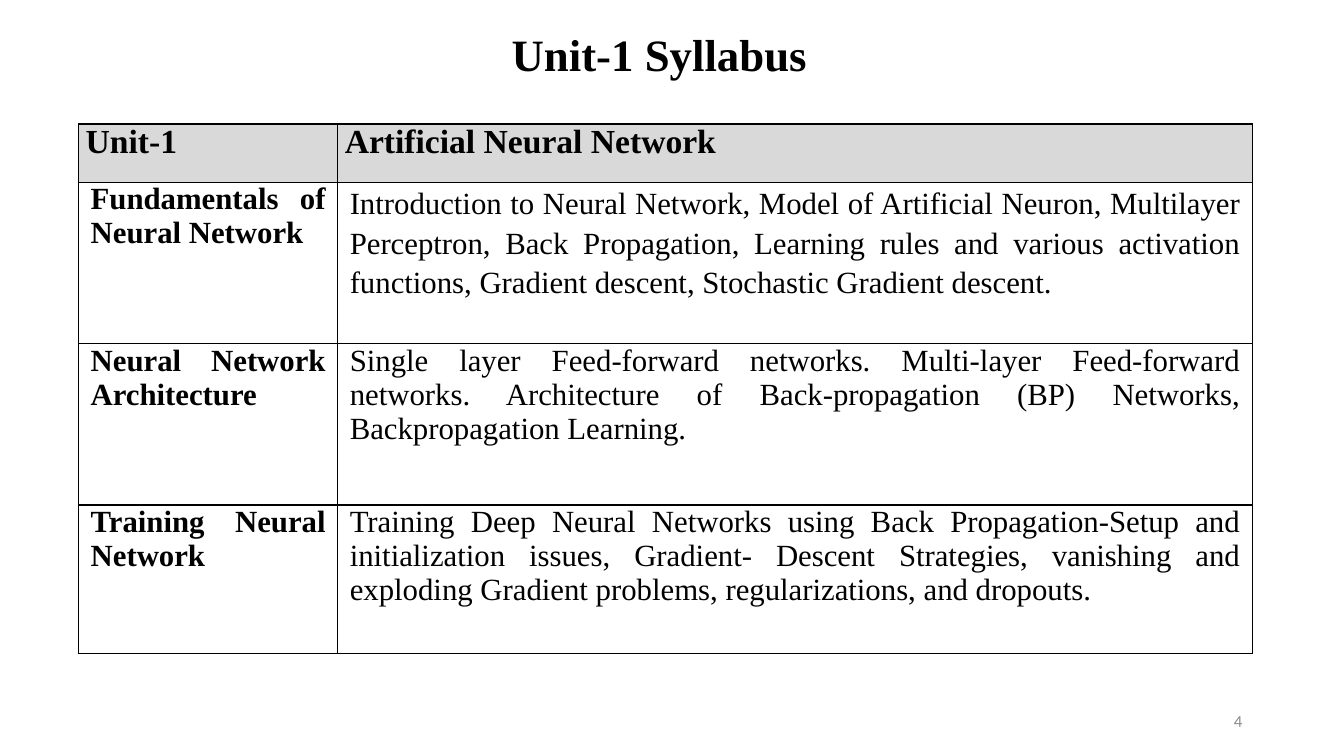
"""Build the Unit-1 syllabus slide: a title, a two-column table and a page number."""
from dataclasses import dataclass

from lxml import etree
from pptx import Presentation, util as u
from pptx.dml.color import RGBColor
from pptx.enum import text
from pptx.oxml.ns import qn

Align = text.PP_ALIGN


@dataclass(frozen=True)
class Theme:
    serif: str = "Times New Roman"
    sans: str = "Calibri"
    ink: str = "000000"
    muted: str = "8C8C8C"
    header: str = "D9D9D9"
    title_size: int = 32
    header_size: int = 24
    body_size: int = 22
    number_size: int = 12
    border: float = 1


class Deck:
    def __init__(self, prs, theme):
        self.theme = theme
        self.s = prs.slides.add_slide(prs.slide_layouts[6])

    def style(self, p, size, align, bold=False, font=None, color=None):
        p.alignment = align
        p.font.size = u.Pt(size)
        p.font.bold = bold
        p.font.name = font or self.theme.serif
        p.font.color.rgb = RGBColor.from_string(color or self.theme.ink)

    def label(self, box, words, size, align, **look):
        tf = self.s.shapes.add_textbox(*map(u.Inches, box)).text_frame
        tf.word_wrap = True
        tf.vertical_anchor = text.MSO_ANCHOR.MIDDLE
        p = tf.paragraphs[0]
        p.text = words
        self.style(p, size, align, **look)
        return p

    def outline(self, cell):
        tc_pr = cell._tc.get_or_add_tcPr()
        for i, side in enumerate(("lnL", "lnR", "lnT", "lnB")):
            ln = etree.Element(qn(f"a:{side}"), w=str(u.Pt(self.theme.border)))
            fill = etree.SubElement(ln, qn("a:solidFill"))
            etree.SubElement(fill, qn("a:srgbClr"), val=self.theme.ink)
            tc_pr.insert(i, ln)

    def cell(self, cell, words, header, bold):
        t = self.theme
        cell.margin_left = cell.margin_right = u.Inches(0.07 if header else 0.12)
        cell.margin_top = cell.margin_bottom = 0
        if header:
            cell.fill.solid()
            cell.fill.fore_color.rgb = RGBColor.from_string(t.header)
        else:
            cell.fill.background()
        self.outline(cell)
        p = cell.text_frame.paragraphs[0]
        p.text = words
        self.style(p, t.header_size if header else t.body_size, Align.JUSTIFY, bold)
        return p

    def table(self, box, widths, heights, rows):
        grid = self.s.shapes.add_table(len(rows), len(widths), *map(u.Inches, box)).table
        for col, width in zip(grid.columns, widths):
            col.width = u.Inches(width)
        for row, height in zip(grid.rows, heights):
            row.height = u.Inches(height)
        return [[self.cell(grid.cell(r, c), words, header=r == 0, bold=r == 0 or c == 0)
                 for c, words in enumerate(row)] for r, row in enumerate(rows)]


SYLLABUS = [
    ("Unit-1", "Artificial Neural Network"),
    ("Fundamentals of Neural Network",
     "Introduction to Neural Network, Model of Artificial Neuron, Multilayer Perceptron, "
     "Back Propagation, Learning rules and various activation functions, Gradient descent, "
     "Stochastic Gradient descent."),
    ("Neural Network Architecture",
     "Single layer Feed-forward networks. Multi-layer Feed-forward networks. Architecture of "
     "Back-propagation (BP) Networks, Backpropagation Learning."),
    ("Training Neural Network",
     "Training Deep Neural Networks using Back Propagation-Setup and initialization issues, "
     "Gradient- Descent Strategies, vanishing and exploding Gradient problems, "
     "regularizations, and dropouts."),
]

prs = Presentation()
prs.slide_width, prs.slide_height = u.Inches(13.33), u.Inches(7.5)
theme = Theme()
deck = Deck(prs, theme)

title = deck.label((0.79, 0.1, 11.5, 0.94), "Unit-1 Syllabus", theme.title_size,
                   Align.CENTER, bold=True)
title.line_spacing = 0.9
deck.label((9.42, 6.95, 3, 0.4), "4", theme.number_size, Align.RIGHT,
           font=theme.sans, color=theme.muted)

cells = deck.table((0.78, 1.23, 11.64, 5.25), (2.57, 9.07), (0.58, 1.6, 1.6, 1.47), SYLLABUS)
introduction = cells[1][1]
introduction.line_spacing = 1.15
introduction.space_after = u.Pt(8)

prs.save("out.pptx")
